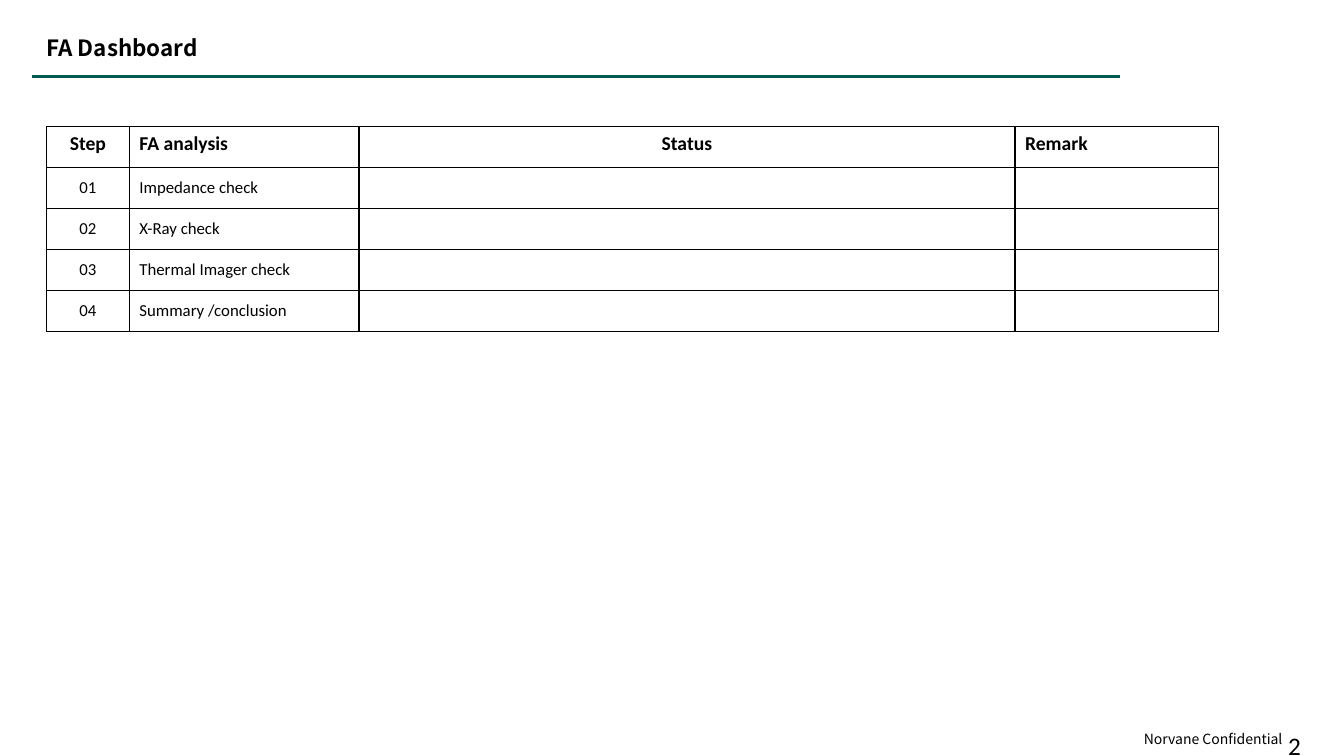
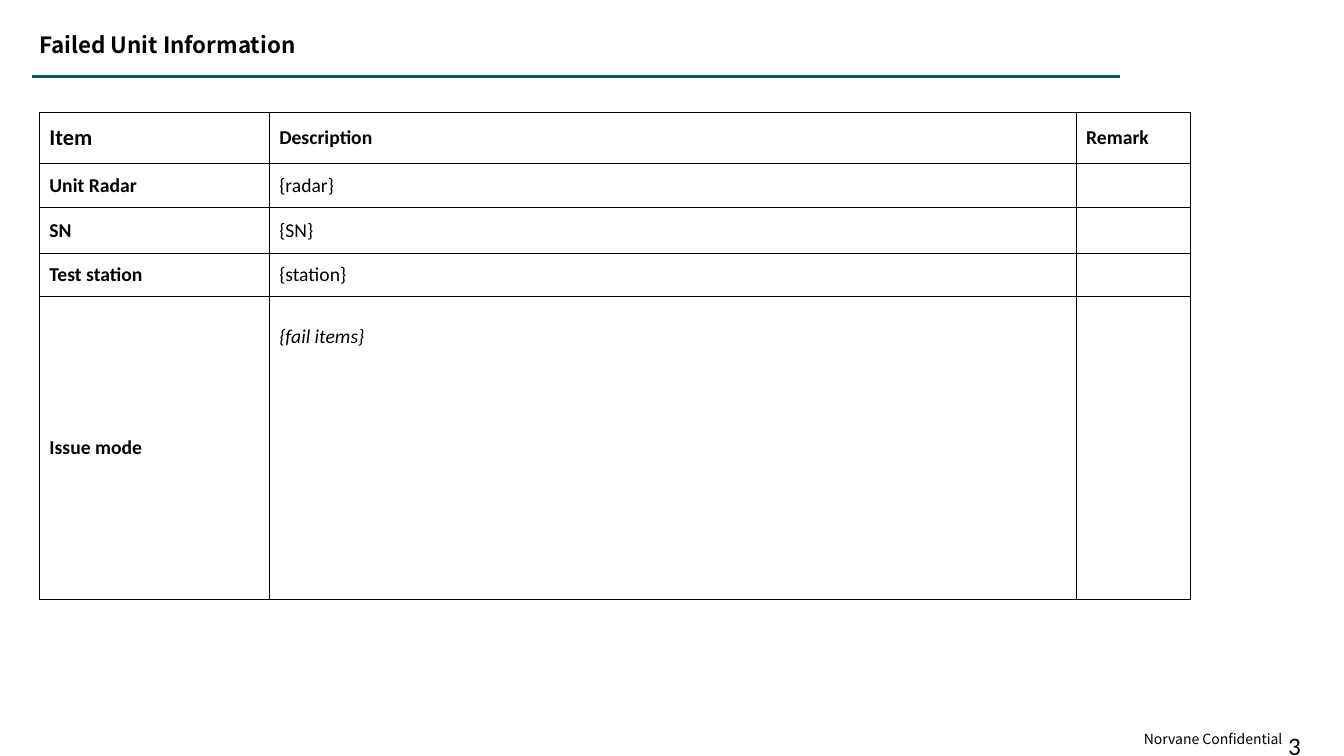
"""Build the failure analysis dashboard and the failed unit information slides."""
from lxml import etree
from pptx import Presentation
from pptx.dml.color import RGBColor
from pptx.enum.shapes import MSO_CONNECTOR
from pptx.enum.text import MSO_ANCHOR, MSO_AUTO_SIZE, PP_ALIGN
from pptx.oxml.ns import qn
from pptx.util import Pt

LEFT, CENTER = PP_ALIGN.LEFT, PP_ALIGN.CENTER
TOP, MIDDLE = MSO_ANCHOR.TOP, MSO_ANCHOR.MIDDLE
NO_FIT = MSO_AUTO_SIZE.NONE
STRAIGHT = MSO_CONNECTOR.STRAIGHT

COLORS = {"ink": "000000", "paper": "FFFFFF", "rule": "005C4F"}
HEAD_FONT, TABLE_FONT = "Noto Sans CJK SC", "Calibri"
FOOTER = "Norvane Confidential"
FIRST_NUMBER = 2
BORDER_TAGS = ("a:lnL", "a:lnR", "a:lnT", "a:lnB")

DASHBOARD = [
    ["Step", "FA analysis", "Status", "Remark"],
    ["01", "Impedance check", "", ""],
    ["02", "X-Ray check", "", ""],
    ["03", "Thermal Imager check", "", ""],
    ["04", "Summary /conclusion", "", ""],
]
UNIT = [
    ["Item", "Description", "Remark"],
    ["Unit Radar", "{radar}", ""],
    ["SN", "{SN}", ""],
    ["Test station", "{station}", ""],
    ["Issue mode", "{fail items}", ""],
]


def color(name):
    return RGBColor.from_string(COLORS[name])


def style_text(frame, font, size, bold=False, italic=False, align=LEFT):
    for para in frame.paragraphs:
        para.alignment = align
        for span in para.runs:
            span.font.name = font
            span.font.size = Pt(size)
            span.font.bold = bold
            span.font.italic = italic
            span.font.color.rgb = color("ink")


def add_label(page, text, area, font, size):
    box = page.shapes.add_textbox(*map(Pt, area))
    box.text_frame.word_wrap = True
    box.text_frame.text = text
    style_text(box.text_frame, font, size)


def add_page(deck, number, title, area):
    page = deck.slides.add_slide(deck.slide_layouts[5])
    heading = page.shapes.title
    heading.left, heading.top, heading.width, heading.height = map(Pt, area)
    frame = heading.text_frame
    frame.text = title
    frame.auto_size = NO_FIT
    frame.vertical_anchor = MIDDLE
    frame.margin_left = frame.margin_right = 0
    frame.margin_top = frame.margin_bottom = 0
    frame.paragraphs[0].line_spacing = 0.9
    style_text(frame, HEAD_FONT, 16, bold=True)

    rule = page.shapes.add_connector(STRAIGHT, Pt(23), Pt(54.7), Pt(800), Pt(54.7))
    rule.line.color.rgb = color("rule")
    rule.line.width = Pt(2)
    etree.SubElement(rule.element.spPr, qn("a:effectLst"))

    add_label(page, FOOTER, (810, 518.4, 124.6, 13.7), HEAD_FONT, 10)
    add_label(page, str(number), (913, 518.4, 40.3, 13.7), TABLE_FONT, 18)
    return page


def add_borders(cell):
    properties = cell._tc.get_or_add_tcPr()
    for position, tag in enumerate(BORDER_TAGS):
        line = etree.Element(qn(tag), w=str(Pt(1)))
        fill = etree.SubElement(line, qn("a:solidFill"))
        etree.SubElement(fill, qn("a:srgbClr"), val=COLORS["ink"])
        properties.insert(position, line)


def add_grid(page, content, left, top, widths, heights):
    frame = page.shapes.add_table(
        len(heights), len(widths), Pt(left), Pt(top), Pt(sum(widths)), Pt(sum(heights)))
    table = frame.table
    table.first_row = table.horz_banding = False
    for column, width in zip(table.columns, widths):
        column.width = Pt(width)
    for row, height, texts in zip(table.rows, heights, content):
        row.height = Pt(height)
        for cell, text in zip(row.cells, texts):
            cell.text = text
            cell.fill.solid()
            cell.fill.fore_color.rgb = color("paper")
            add_borders(cell)
    return table


def build_dashboard(deck):
    page = add_page(deck, FIRST_NUMBER, "FA Dashboard", (33.2, 15.1, 566, 39.6))
    table = add_grid(page, DASHBOARD, 33.2, 90.5, (59.2, 164, 468.6, 145.5), [29.3] * 5)
    for r, row in enumerate(table.rows):
        for c, cell in enumerate(row.cells):
            header = r == 0
            cell.vertical_anchor = TOP if header else MIDDLE
            style_text(cell.text_frame, TABLE_FONT, 14 if header else 12,
                       bold=header, align=CENTER if c in (0, 2) else LEFT)


def build_unit(deck):
    page = add_page(deck, FIRST_NUMBER + 1, "Failed Unit Information", (28.1, 13.5, 776, 39.6))
    table = add_grid(page, UNIT, 28.1, 80.4, (164.2, 576.4, 81.8), (36.2, 31.7, 32.7, 30.7, 216.7))
    for r, row in enumerate(table.rows):
        for c, cell in enumerate(row.cells):
            cell.vertical_anchor = MIDDLE
            style_text(cell.text_frame, TABLE_FONT, 16 if r == c == 0 else 14,
                       bold=r == 0 or c == 0)
    issue = table.cell(4, 1)
    issue.vertical_anchor = TOP
    issue.margin_top = Pt(20.7)
    style_text(issue.text_frame, TABLE_FONT, 14, italic=True)


def main():
    deck = Presentation()
    deck.slide_width, deck.slide_height = Pt(960), Pt(540)
    build_dashboard(deck)
    build_unit(deck)
    deck.save("out.pptx")


if __name__ == "__main__":
    main()
